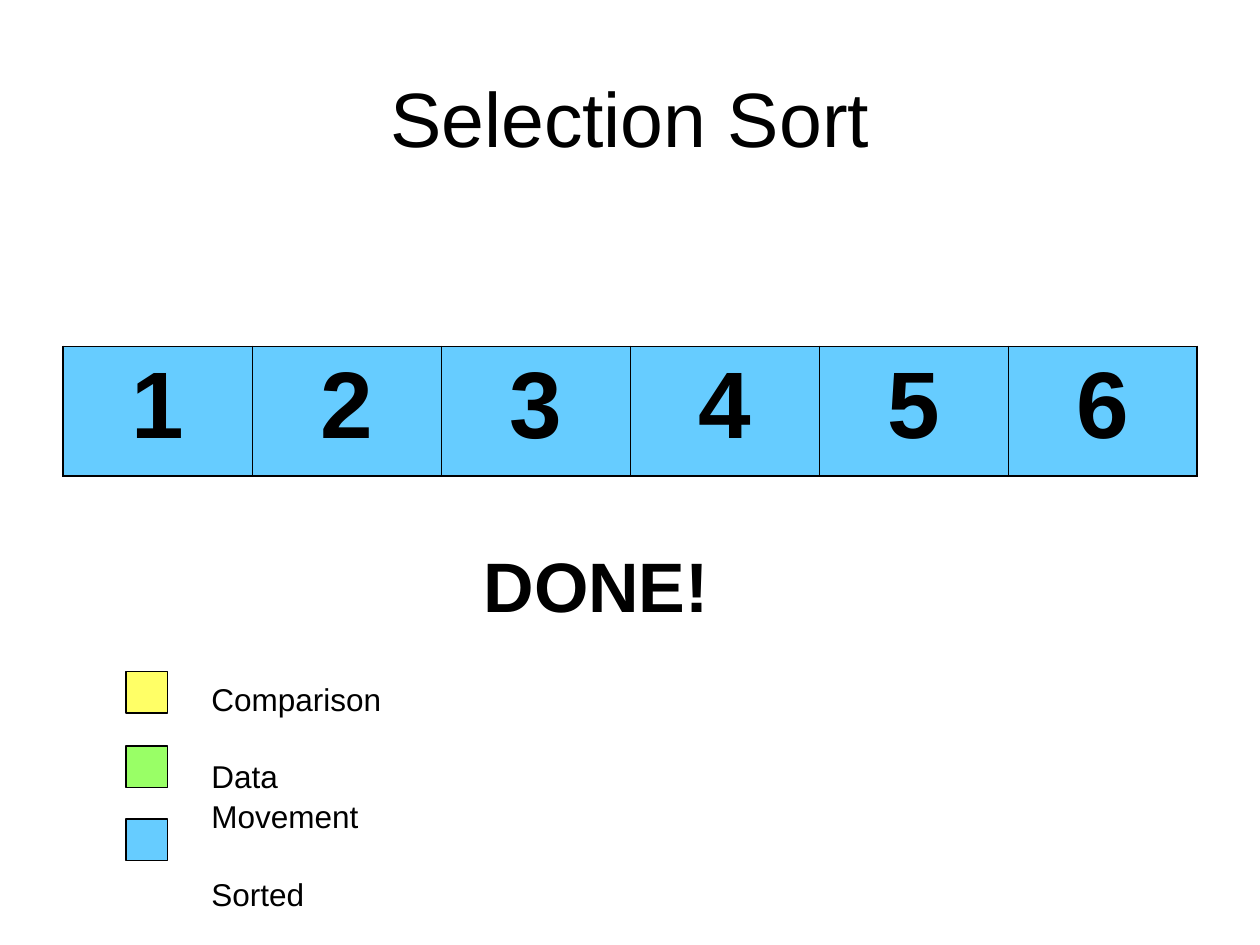
from lxml.etree import SubElement
from pptx import Presentation
from pptx.dml.color import RGBColor
from pptx.enum.shapes import MSO_SHAPE
from pptx.enum.text import MSO_ANCHOR, MSO_AUTO_SIZE, PP_ALIGN
from pptx.oxml.ns import qn
from pptx.util import Emu, Pt

BLACK = RGBColor(0x00, 0x00, 0x00)
YELLOW = RGBColor(0xFF, 0xFF, 0x66)
GREEN = RGBColor(0x99, 0xFF, 0x66)
BLUE = RGBColor(0x66, 0xCC, 0xFF)
FONT = "Arial"
SCALE = 9144
THICK, THIN = Pt(1.08), Pt(0.45)


def px(size):
    return Emu(size * SCALE)


def style(para, size, bold=False):
    for run in para.runs:
        run.font.name = FONT
        run.font.size = Pt(size)
        run.font.bold = bold
        run.font.color.rgb = BLACK


def border(cell, side, width):
    line = SubElement(cell._tc.get_or_add_tcPr(), qn(f"a:ln{side}"), w=str(width))
    fill = SubElement(line, qn("a:solidFill"))
    SubElement(fill, qn("a:srgbClr"), val=str(BLACK))


def add_title(slide, left, top, width, height):
    title = slide.shapes.title
    title.left, title.top = px(left), px(top)
    title.width, title.height = px(width), px(height)
    frame = title.text_frame
    frame.text = "Selection Sort"
    frame.vertical_anchor = MSO_ANCHOR.MIDDLE
    para = frame.paragraphs[0]
    para.alignment = PP_ALIGN.CENTER
    style(para, 44)


def add_array(slide, left, top, width, height, values):
    count = len(values)
    frame = slide.shapes.add_table(1, count, px(left), px(top), px(width), px(height))
    table = frame.table
    for col, value in enumerate(values):
        table.columns[col].width = px(width // count)
        cell = table.cell(0, col)
        border(cell, "L", THICK if col == 0 else THIN)
        border(cell, "R", THICK if col == count - 1 else THIN)
        border(cell, "T", THICK)
        border(cell, "B", THICK)
        cell.fill.solid()
        cell.fill.fore_color.rgb = BLUE
        para = cell.text_frame.paragraphs[0]
        para.text = str(value)
        para.alignment = PP_ALIGN.CENTER
        para.space_before = Pt(13.5)
        style(para, 54, True)


def add_text(slide, left, top, width, height, lines, size, bold=False, gap=0):
    box = slide.shapes.add_textbox(px(left), px(top), px(width), px(height))
    frame = box.text_frame
    frame.text = "\n".join(lines)
    frame.word_wrap = False
    frame.auto_size = MSO_AUTO_SIZE.SHAPE_TO_FIT_TEXT
    for row, para in enumerate(frame.paragraphs):
        para.line_spacing = 1.05
        para.space_before = Pt(gap if row else 0)
        style(para, size, bold)


def add_legend(slide, left, top, width, height, items):
    side, indent = 33, 58
    step = (height - side - 10) / len(items)
    step = 58.5 if len(items) == 3 else step
    for row, (_, color) in enumerate(items):
        spot = px(round(top + row * step))
        box = slide.shapes.add_shape(MSO_SHAPE.RECTANGLE, px(left), spot, px(side), px(side))
        box.shadow.inherit = False
        box.fill.solid()
        box.fill.fore_color.rgb = color
        box.line.color.rgb = BLACK
        box.line.width = Pt(0.75)
    labels = [label for label, _ in items]
    add_text(slide, left + indent, top, width - indent, height, labels, 18, gap=21.7)


def main():
    deck = Presentation()
    deck.slide_width, deck.slide_height = px(1000), px(750)
    slide = deck.slides.add_slide(deck.slide_layouts[5])
    add_title(slide, 50, 30, 900, 125)
    add_array(slide, 50, 275, 900, 103, range(1, 7))
    items = [("Comparison", YELLOW), ("Data Movement", GREEN), ("Sorted", BLUE)]
    add_legend(slide, 100, 533, 254, 160, items)
    add_text(slide, 374, 422, 199, 77, ["DONE!"], 40, True)
    deck.save("out.pptx")


if __name__ == "__main__":
    main()
